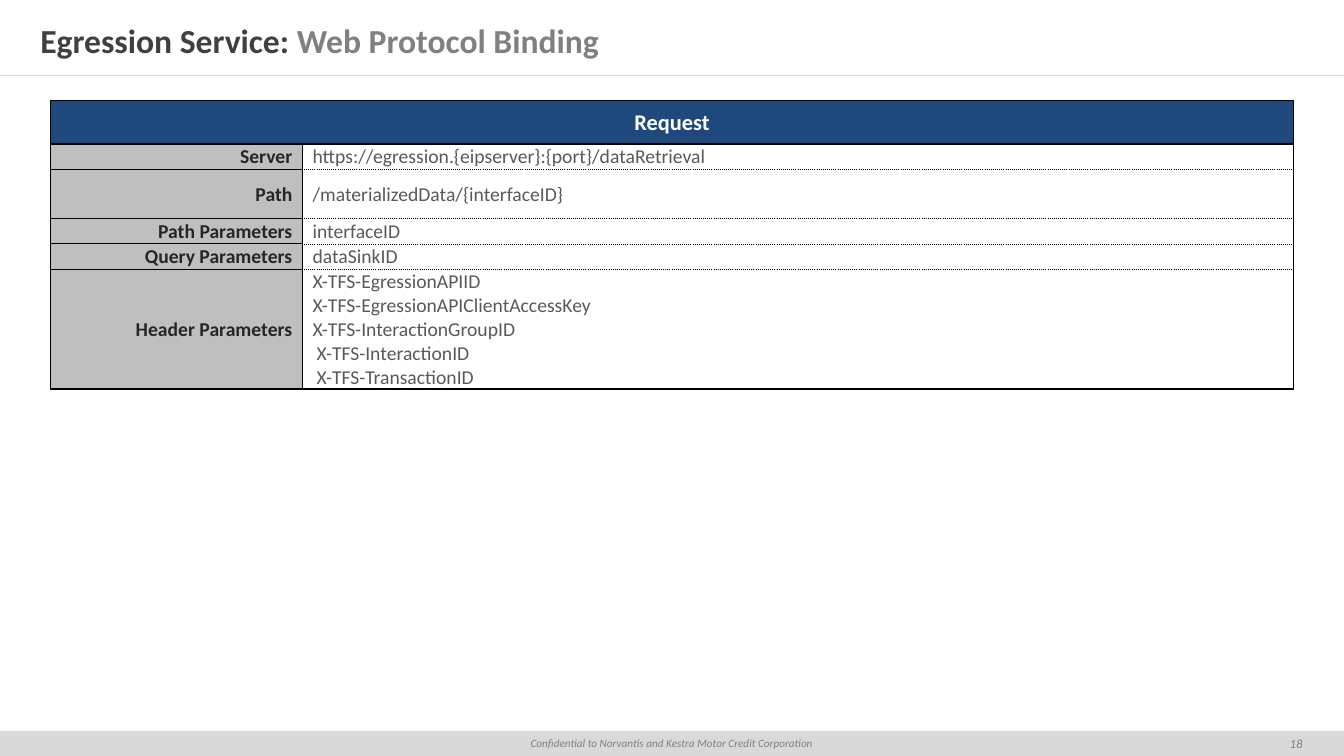
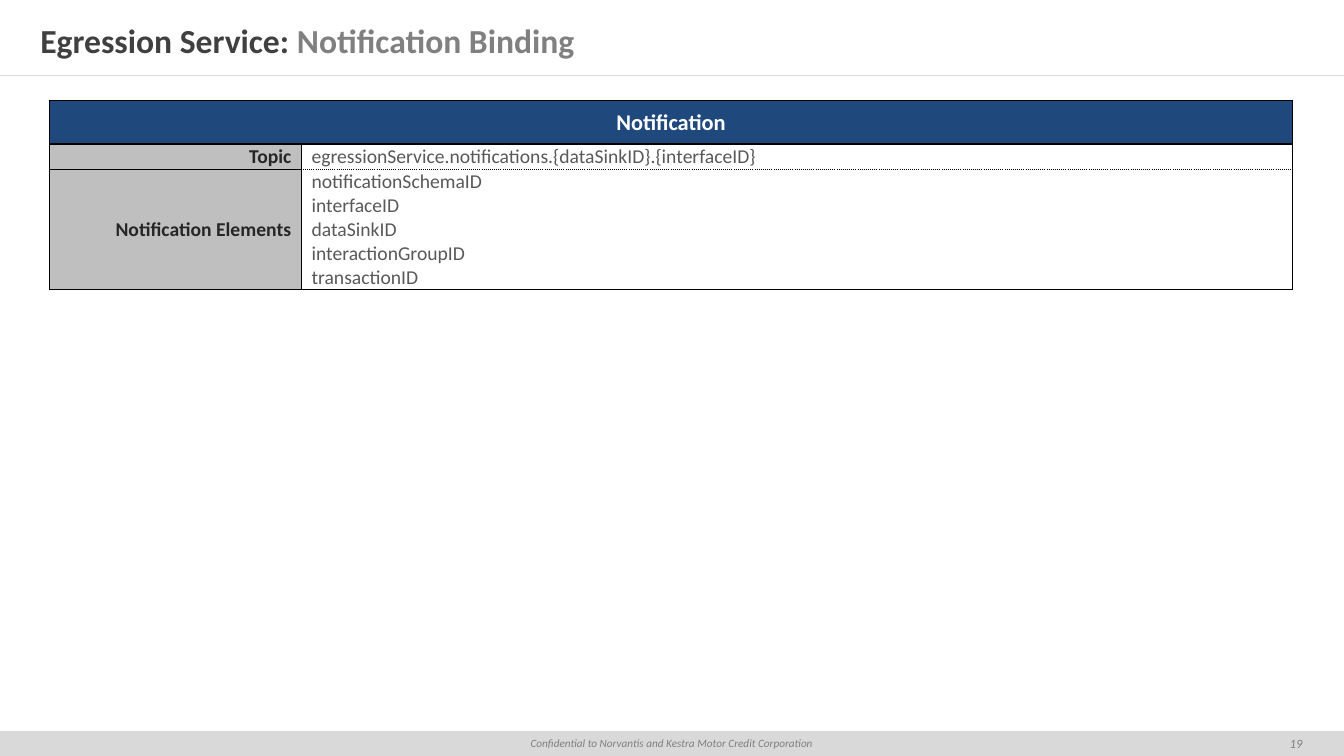
from typing import NamedTuple

from lxml import etree
from pptx import Presentation
from pptx.dml.color import RGBColor
from pptx.enum.shapes import MSO_CONNECTOR, MSO_SHAPE
from pptx.enum.text import MSO_ANCHOR, PP_ALIGN
from pptx.oxml.ns import qn
from pptx.util import Inches, Pt

LEFT, CENTER, RIGHT = PP_ALIGN.LEFT, PP_ALIGN.CENTER, PP_ALIGN.RIGHT
MIDDLE = MSO_ANCHOR.MIDDLE
RECT, STRAIGHT = MSO_SHAPE.RECTANGLE, MSO_CONNECTOR.STRAIGHT

FONT = "Calibri"
WHITE, BLACK, NAVY = "FFFFFF", "000000", "1F497D"
BAND, LABEL = "D9D9D9", "BFBFBF"
DARK, GREY, INK, BODY = "404040", "808080", "262626", "595959"
WIDE, HIGH = 13.33, 7.5
FOOT = 0.25
COLS = (2.5, 9.83)
HEAD = 0.43
NOTICE = "Confidential to Norvantis and Kestra Motor Credit Corporation"


class Run(NamedTuple):
    text: str
    color: str


class Edge(NamedTuple):
    width: float
    dash: str = "solid"


class Row(NamedTuple):
    label: str
    lines: list[str]
    height: float = 0.25
    inset: int = 0  # number of last lines set in slightly


class Page(NamedTuple):
    number: int
    topic: str
    left: float
    head: str
    rows: list[Row]


THIN, THICK, DOTS = Edge(1), Edge(1.5), Edge(0.5, "sysDot")

PAGES = [
    Page(18, "Web Protocol Binding", 0.5, "Request", [
        Row("Server", ["https://egression.{eipserver}:{port}/dataRetrieval"]),
        Row("Path", ["/materializedData/{interfaceID}"], 0.49),
        Row("Path Parameters", ["interfaceID"]),
        Row("Query Parameters", ["dataSinkID"]),
        Row("Header Parameters", [
            "X-TFS-EgressionAPIID", "X-TFS-EgressionAPIClientAccessKey",
            "X-TFS-InteractionGroupID", "X-TFS-InteractionID",
            "X-TFS-TransactionID"], 1.19, inset=2),
    ]),
    Page(19, "Notification Binding", 0.49, "Notification", [
        Row("Topic",
            ["egressionService.notifications.{dataSinkID}.{interfaceID}"]),
        Row("Notification Elements", [
            "notificationSchemaID", "interfaceID", "dataSinkID",
            "interactionGroupID", "transactionID"], 1.19),
    ]),
]


def rgb(color: str) -> RGBColor:
    return RGBColor.from_string(color)


def put(frame, lines: list[list[Run]], *, size: float, align=LEFT,
        bold: bool = False, italic: bool = False, inset: int = 0) -> None:
    """Write one paragraph per line; the last `inset` ones are indented."""
    for i, runs in enumerate(lines):
        para = frame.paragraphs[0] if i == 0 else frame.add_paragraph()
        para.alignment = align
        if i >= len(lines) - inset:
            para._p.get_or_add_pPr().set("marL", str(Inches(0.04)))
        for part in runs:
            run = para.add_run()
            run.text = part.text
            font = run.font
            font.name, font.size = FONT, Pt(size)
            font.bold, font.italic = bold, italic
            font.color.rgb = rgb(part.color)


def pad(host, left: float, top: float, right: float, base: float) -> None:
    """Set the insets of a text frame or cell and centre its text in height."""
    host.margin_left, host.margin_top = Inches(left), Inches(top)
    host.margin_right, host.margin_bottom = Inches(right), Inches(base)
    host.vertical_anchor = MIDDLE


def edge(cell, top: Edge, base: Edge) -> None:
    props = cell._tc.get_or_add_tcPr()
    sides = {"a:lnL": THIN, "a:lnR": THIN, "a:lnT": top, "a:lnB": base}
    for tag, side in sides.items():
        line = etree.SubElement(props, qn(tag), w=str(Pt(side.width)))
        fill = etree.SubElement(line, qn("a:solidFill"))
        etree.SubElement(fill, qn("a:srgbClr"), val=BLACK)
        etree.SubElement(line, qn("a:prstDash"), val=side.dash)


def style(cell, fill: str, top: Edge, base: Edge,
          left: float = 0.01, right: float = 0.01) -> None:
    pad(cell, left, 0.01, right, 0)
    edge(cell, top, base)
    cell.fill.solid()
    cell.fill.fore_color.rgb = rgb(fill)


def frame(slide, page: Page) -> None:
    """Draw the title, its rule, the footer band and the page number."""
    top = HIGH - FOOT
    band = slide.shapes.add_shape(
        RECT, 0, Inches(top), Inches(WIDE), Inches(FOOT))
    band.shadow.inherit = False
    band.fill.solid()
    band.fill.fore_color.rgb = rgb(BAND)
    band.line.fill.background()
    pad(band.text_frame, 0.1, 0, 0.1, 0)
    put(band.text_frame, [[Run(NOTICE, GREY)]], size=8, align=CENTER,
        italic=True)

    rule = slide.shapes.add_connector(
        STRAIGHT, 0, Inches(0.75), Inches(WIDE), Inches(0.75))
    rule.line.color.rgb = rgb(BAND)
    rule.line.width = Pt(0.25)
    etree.SubElement(rule._element.spPr, qn("a:effectLst"))

    num = slide.shapes.add_textbox(
        Inches(12.5), Inches(top), Inches(0.71), Inches(FOOT)).text_frame
    num.word_wrap = True
    pad(num, 0.1, 0.1, 0.1, 0.1)
    put(num, [[Run(str(page.number), GREY)]], size=9, align=CENTER,
        italic=True)

    title = slide.shapes.title
    title.left, title.top = 0, Inches(0.16)
    title.width, title.height = Inches(WIDE), Inches(0.48)
    pad(title.text_frame, 0.4, 0.2, 0.4, 0.2)
    put(title.text_frame,
        [[Run("Egression Service: ", DARK), Run(page.topic, GREY)]],
        size=24, bold=True)


def grid(slide, page: Page) -> None:
    """Draw the table: a merged head, then a label and values per row."""
    highs = [HEAD] + [row.height for row in page.rows]
    table = slide.shapes.add_table(
        len(highs), len(COLS), Inches(page.left), Inches(1),
        Inches(sum(COLS)), Inches(sum(highs))).table
    table.horz_banding = False
    for col, wide in zip(table.columns, COLS):
        col.width = Inches(wide)
    for line, high in zip(table.rows, highs):
        line.height = Inches(high)

    head = table.cell(0, 0)
    head.merge(table.cell(0, 1))
    for cell in table.rows[0].cells:
        style(cell, NAVY, THIN, THICK)
    put(head.text_frame, [[Run(page.head, WHITE)]], size=16, align=CENTER,
        bold=True)

    last = len(page.rows)
    for i, row in enumerate(page.rows, 1):
        label, value = table.cell(i, 0), table.cell(i, 1)
        style(label, LABEL, THICK if i == 1 else THIN, THIN, right=0.1)
        put(label.text_frame, [[Run(row.label, INK)]], size=14, align=RIGHT,
            bold=True)
        style(value, WHITE, THICK if i == 1 else DOTS,
              THIN if i == last else DOTS, left=0.1)
        put(value.text_frame, [[Run(text, BODY)] for text in row.lines],
            size=14, inset=row.inset)


def main() -> None:
    deck = Presentation()
    deck.slide_width, deck.slide_height = Inches(WIDE), Inches(HIGH)
    for page in PAGES:
        slide = deck.slides.add_slide(deck.slide_layouts[5])
        frame(slide, page)
        grid(slide, page)
    deck.save("out.pptx")


if __name__ == "__main__":
    main()
